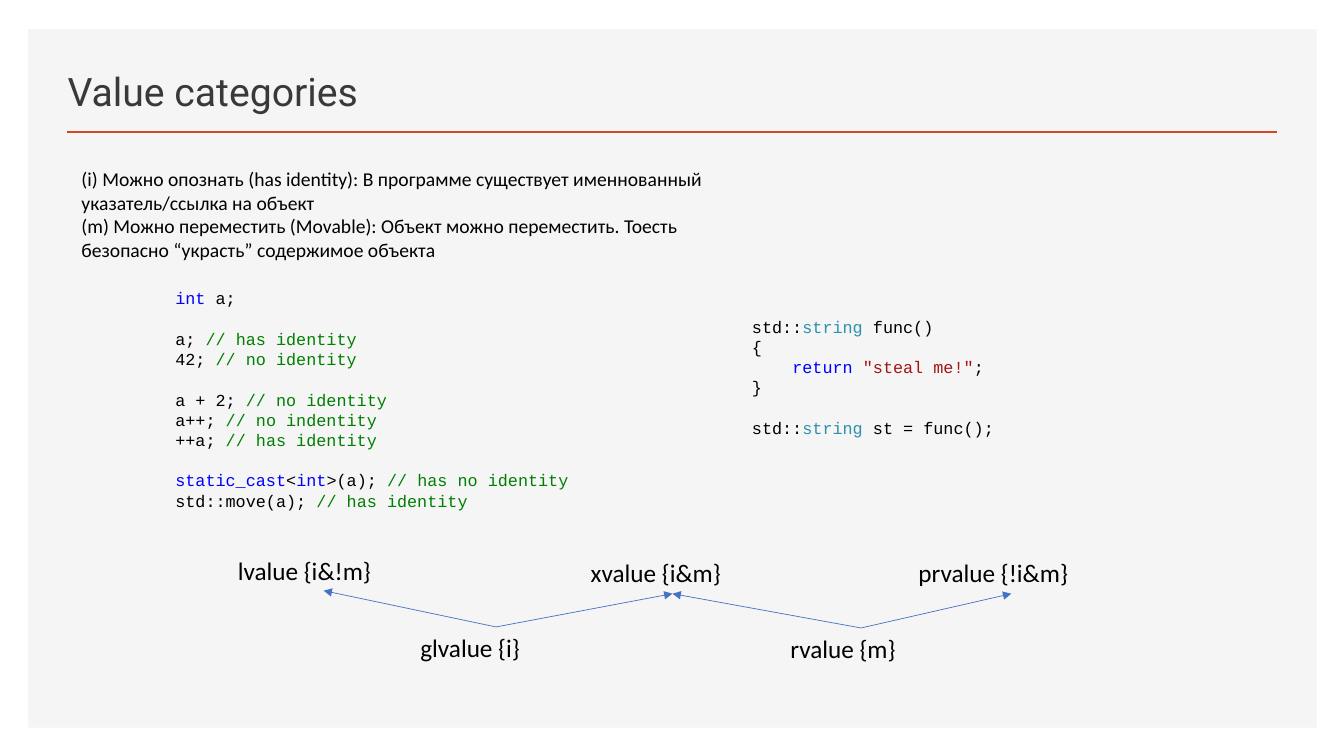
from dataclasses import dataclass

from pptx import Presentation
from pptx.dml.color import RGBColor
from pptx.enum.shapes import MSO_CONNECTOR, MSO_SHAPE
from pptx.enum.text import MSO_ANCHOR, PP_ALIGN
from pptx.oxml.ns import qn
from pptx.util import Inches, Pt
from lxml.etree import SubElement


@dataclass(frozen=True)
class Theme:
    panel: str = "F5F5F5"
    accent: str = "D24726"
    arrow: str = "4472C4"
    title: str = "3B3838"
    text: str = "000000"
    keyword: str = "0000FF"
    type_name: str = "2B91AF"
    literal: str = "A31515"
    comment: str = "008000"
    title_font: str = "Roboto"
    body_font: str = "Calibri"
    code_font: str = "Courier New"
    title_size: int = 28
    label_size: int = 18
    body_size: int = 14
    code_size: int = 12
    code_gap: float = 14.5


@dataclass(frozen=True)
class Box:
    left: float
    top: float
    width: float
    height: float

    def emu(self) -> tuple:
        return tuple(map(Inches, (self.left, self.top, self.width, self.height)))


@dataclass(frozen=True)
class Run:
    text: str
    color: str


@dataclass(frozen=True)
class Line:
    runs: tuple
    gap: bool = False  # one empty code line above


@dataclass(frozen=True)
class Label:
    text: str
    box: Box


@dataclass(frozen=True)
class Arrow:
    start: tuple
    end: tuple


T = Theme()


def plain(text: str) -> Run:
    return Run(text, T.text)


def keyword(text: str) -> Run:
    return Run(text, T.keyword)


def note(text: str) -> Run:
    return Run(text, T.comment)


def line(*runs: Run, gap: bool = False) -> Line:
    return Line(runs, gap)


CRITERIA = (
    line(plain("(i) Можно опознать (has identity): В программе существует "
               "именнованный указатель/ссылка на объект")),
    line(plain("(m) Можно переместить (Movable): Объект можно переместить. "
               "Тоесть безопасно “украсть” содержимое объекта")),
)

FUNC_CODE = (
    line(plain("std::"), Run("string ", T.type_name), plain("func()")),
    line(plain("{")),
    line(plain("    "), keyword("return "), Run('"steal me!"', T.literal), plain(";")),
    line(plain("}")),
    line(plain("std::"), Run("string ", T.type_name), plain("st = func();"), gap=True),
)

IDENTITY_CODE = (
    line(keyword("int"), plain(" a;")),
    line(plain("a; "), note("// has identity"), gap=True),
    line(plain("42; "), note("// no identity")),
    line(plain("a + 2; "), note("// no identity"), gap=True),
    line(plain("a++; "), note("// no indentity")),
    line(plain("++a; "), note("// has identity")),
    line(keyword("static_cast"), plain("<"), keyword("int"), plain(">(a); "),
         note("// has no identity"), gap=True),
    line(plain("std::move(a); "), note("// has identity")),
)

LABELS = (
    Label("lvalue {i&!m}", Box(2.26, 5.46, 1.91, 0.4)),
    Label("xvalue {i&m}", Box(5.76, 5.48, 1.82, 0.4)),
    Label("prvalue {!i&m}", Box(9.01, 5.48, 2.05, 0.4)),
    Label("glvalue {i}", Box(4.07, 6.22, 1.68, 0.4)),
    Label("rvalue {m}", Box(7.74, 6.23, 1.61, 0.4)),
)

GLVALUE, RVALUE = (4.92, 6.22), (8.54, 6.23)
LVALUE, XVALUE, PRVALUE = (3.21, 5.86), (6.67, 5.89), (10.03, 5.89)
ARROWS = (
    Arrow(GLVALUE, LVALUE),
    Arrow(GLVALUE, XVALUE),
    Arrow(RVALUE, XVALUE),
    Arrow(RVALUE, PRVALUE),
)


def set_font(font, name: str, size: float, color: str) -> None:
    for key, value in {"name": name, "size": Pt(size)}.items():
        setattr(font, key, value)
    font.color.rgb = RGBColor.from_string(color)


def add_text(s, box: Box, lines: tuple, font: str, size: float) -> None:
    tf = s.shapes.add_textbox(*box.emu()).text_frame
    tf.word_wrap = True
    for i, item in enumerate(lines):
        p = tf.paragraphs[0] if i == 0 else tf.add_paragraph()
        if item.gap:
            p.space_before = Pt(T.code_gap)
        for run in item.runs:
            r = p.add_run()
            r.text = run.text
            set_font(r.font, font, size, run.color)


def add_line(s, start: tuple, end: tuple, color: str, width: float,
             arrow: bool = False) -> None:
    cx = s.shapes.add_connector(MSO_CONNECTOR.STRAIGHT,
                                *map(Inches, (*start, *end)))
    cx.line.color.rgb = RGBColor.from_string(color)
    cx.line.width = Pt(width)
    if arrow:
        SubElement(cx.line._get_or_add_ln(), qn("a:tailEnd"), type="triangle")
    SubElement(cx.element.spPr, qn("a:effectLst"))


def add_panel(s, box: Box) -> None:
    sp = s.shapes.add_shape(MSO_SHAPE.RECTANGLE, *box.emu())
    sp.shadow.inherit = False
    sp.fill.solid()
    sp.fill.fore_color.rgb = RGBColor.from_string(T.panel)
    sp.line.fill.background()


def set_title(s, text: str, box: Box) -> None:
    sp = s.shapes.title
    for key, value in zip(("left", "top", "width", "height"), box.emu()):
        setattr(sp, key, value)
    sp.element.getparent().append(sp.element)  # in front of the panel
    tf = sp.text_frame
    tf.vertical_anchor = MSO_ANCHOR.BOTTOM
    p = tf.paragraphs[0]
    for key, value in {"alignment": PP_ALIGN.LEFT, "line_spacing": 0.9}.items():
        setattr(p, key, value)
    r = p.add_run()
    r.text = text
    set_font(r.font, T.title_font, T.title_size, T.title)


def main() -> None:
    prs = Presentation()
    prs.slide_width, prs.slide_height = Inches(13.33), Inches(7.5)
    s = prs.slides.add_slide(prs.slide_layouts[5])

    # Backdrop and title
    add_panel(s, Box(0.28, 0.29, 12.78, 6.93))
    add_line(s, (0.66, 1.31), (12.67, 1.31), T.accent, 2)
    set_title(s, "Value categories", Box(0.57, 0.49, 9.66, 0.7))

    # Category tree
    for label in LABELS:
        add_text(s, label.box, (line(plain(label.text)),), T.body_font, T.label_size)
    for arrow in ARROWS:
        add_line(s, arrow.start, arrow.end, T.arrow, 0.5, arrow=True)

    # Criteria and code
    add_text(s, Box(0.71, 1.61, 6.67, 1.04), CRITERIA, T.body_font, T.body_size)
    add_text(s, Box(7.36, 3.09, 3.3, 1.31), FUNC_CODE, T.code_font, T.code_size)
    add_text(s, Box(1.64, 2.81, 4.82, 2.32), IDENTITY_CODE, T.code_font, T.code_size)

    prs.save("out.pptx")


if __name__ == "__main__":
    main()
